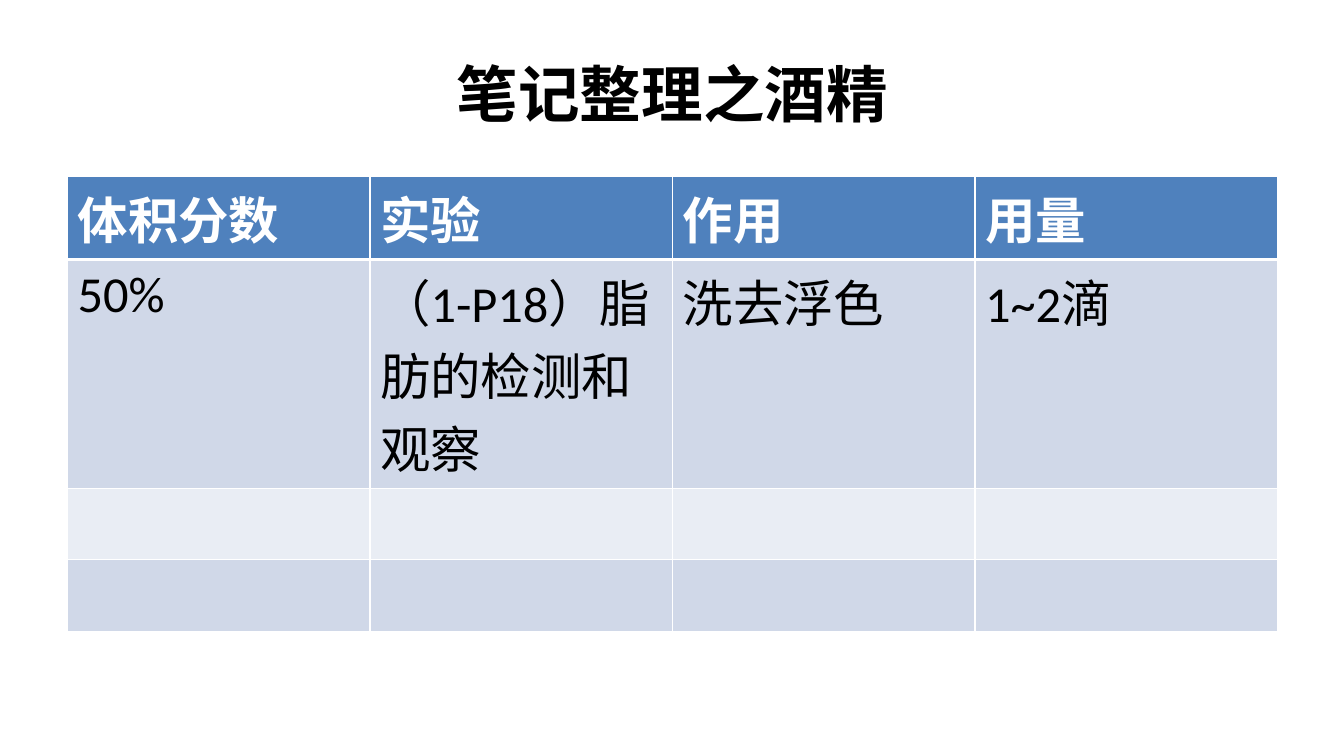
from lxml.etree import SubElement
from pptx import Presentation
from pptx.dml.color import RGBColor
from pptx.enum.text import MSO_ANCHOR, PP_ALIGN
from pptx.oxml.ns import qn
from pptx.util import Inches, Pt

TITLE = "笔记整理之酒精"
ROWS = [
    ("体积分数", "实验", "作用", "用量"),
    ("50%", "（1-P18）脂肪的检测和观察", "洗去浮色", "1~2滴"),
    ("", "", "", ""),
    ("", "", "", ""),
]
ROW_HEIGHTS = [0.81, 2.27, 0.71, 0.71]
ROW_FILLS = ["4F81BD", "D0D8E8", "E9EDF4", "D0D8E8"]
COLUMN_WIDTH = 3
LEFT, TABLE_TOP, WIDTH = 0.67, 1.75, 12
BORDER_COLOR = "FFFFFF"


def color(hex_text):
    return RGBColor.from_string(hex_text)


def style(para, size, hex_text, bold):
    para.font.name = "Calibri"
    para.font.size = Pt(size)
    para.font.bold = bold
    para.font.color.rgb = color(hex_text)


def add_borders(cell, widths):
    """Draw cell edges; widths maps L, R, T and B to points."""
    properties = cell._tc.get_or_add_tcPr()
    for side, width in widths.items():
        line = SubElement(properties, qn(f"a:ln{side}"), w=str(Pt(width)))
        fill = SubElement(line, qn("a:solidFill"))
        SubElement(fill, qn("a:srgbClr"), val=BORDER_COLOR)


def add_title(page):
    title = page.shapes.title
    title.left, title.top = Inches(LEFT), Inches(0.3)
    title.width, title.height = Inches(WIDTH), Inches(1.25)
    title.text_frame.text = TITLE
    title.text_frame.vertical_anchor = MSO_ANCHOR.MIDDLE
    para = title.text_frame.paragraphs[0]
    para.alignment = PP_ALIGN.CENTER
    style(para, 44, "000000", True)


def add_alcohol_table(page):
    table = page.shapes.add_table(
        len(ROWS), len(ROWS[0]), Inches(LEFT), Inches(TABLE_TOP),
        Inches(WIDTH), Inches(sum(ROW_HEIGHTS))).table
    for column in table.columns:
        column.width = Inches(COLUMN_WIDTH)
    for r, texts in enumerate(ROWS):
        table.rows[r].height = Inches(ROW_HEIGHTS[r])
        header = r == 0
        for c, text in enumerate(texts):
            cell = table.cell(r, c)
            add_borders(cell, {"L": 1, "R": 1, "T": 3 if r == 1 else 1,
                               "B": 3 if header else 1})
            cell.fill.solid()
            cell.fill.fore_color.rgb = color(ROW_FILLS[r])
            if text:
                cell.text = text
                style(cell.text_frame.paragraphs[0], 36,
                      "FFFFFF" if header else "000000", header)


def main():
    deck = Presentation()
    deck.slide_width, deck.slide_height = Inches(13.33), Inches(7.5)
    page = deck.slides.add_slide(deck.slide_layouts[5])
    add_title(page)
    add_alcohol_table(page)
    deck.save("out.pptx")


if __name__ == "__main__":
    main()
